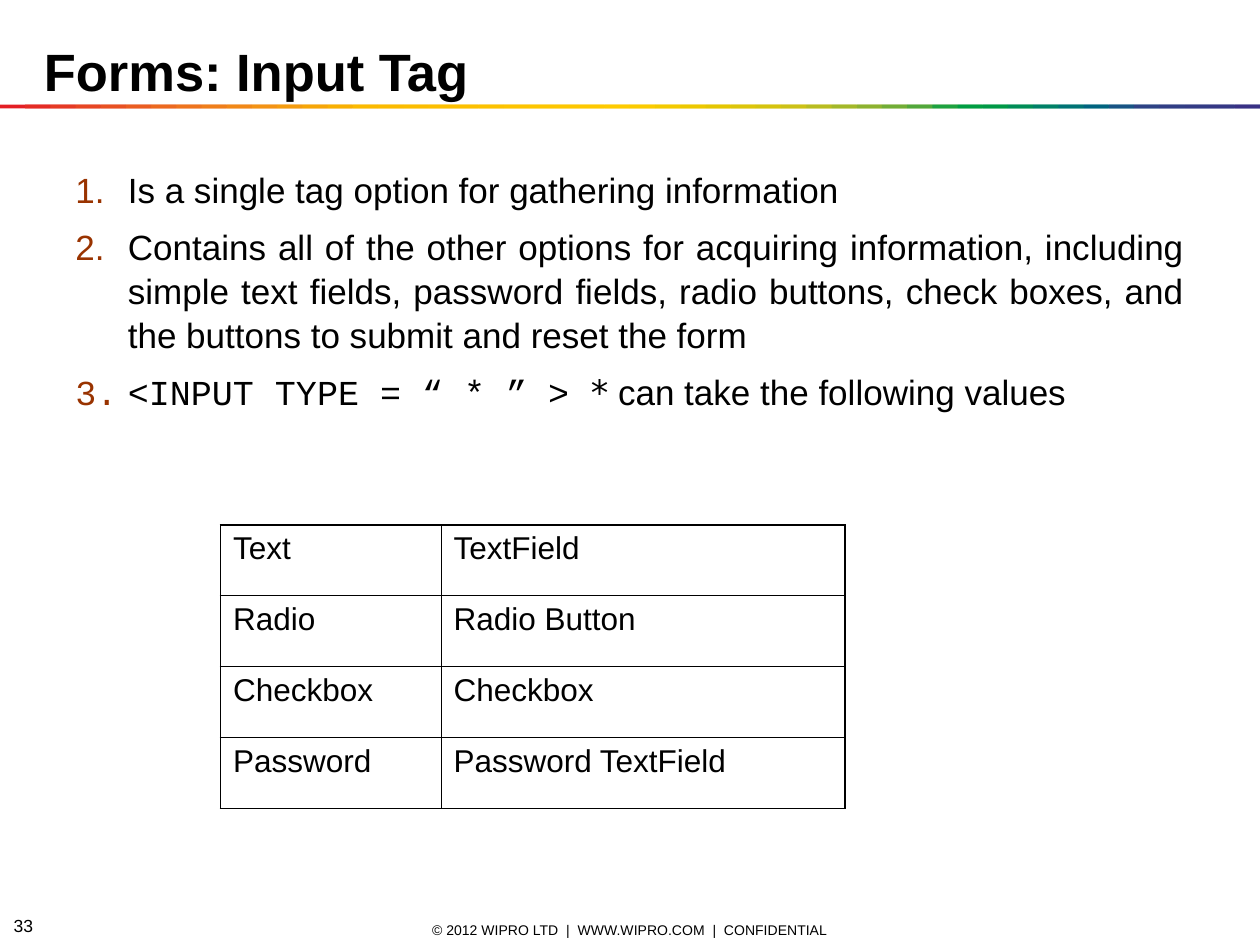
from lxml import etree
from pptx import Presentation
from pptx.dml.color import RGBColor
from pptx.enum.shapes import MSO_SHAPE
from pptx.enum.text import MSO_ANCHOR, PP_ALIGN
from pptx.oxml.ns import qn
from pptx.util import Pt

RECT = MSO_SHAPE.RECTANGLE
MIDDLE, BOTTOM, TOP = MSO_ANCHOR.MIDDLE, MSO_ANCHOR.BOTTOM, MSO_ANCHOR.TOP
LEFT, CENTER, JUSTIFY = PP_ALIGN.LEFT, PP_ALIGN.CENTER, PP_ALIGN.JUSTIFY

COLORS = {"text": "000000", "number": "993300", "border": "000000"}
RAINBOW = """
E31E24 E42C24 E53A24 E74623 E85122 EA5D21 EC691F EE741D EF7E1A F18817
F39314 F49C0F F6A607 F8B002 FBBA00 FBBB00 FBBD00 FCBF00 FCC000 FCC200
FDC400 FDC600 FDC700 FEC900 FECB00 FBCB00 F3CA00 ECC800 E4C602 DCC50A
D5C30E CCC117 B8BC21 A3B829 8CB230 71AD36 51A73B 1DA240 009D43 009846
008C57 008068 007275 00637F 185384 2E4285 313E85 333B85 353885 393185
""".split()

WIDTH, HEIGHT = 720, 540
POINTS = [
    (LEFT, [("Is a single tag option for gathering information", "Arial")]),
    (JUSTIFY, [("Contains all of the other options for acquiring information, "
                "including simple text fields, password fields, radio buttons, "
                "check boxes, and the buttons to submit and reset the form",
                "Arial")]),
    (LEFT, [("<INPUT TYPE = “ * ” > ", "Courier New"),
            ("*", "DejaVu Sans"),
            (" can take the following values", "Arial")]),
]
INPUT_TYPES = [
    ("Text", "TextField"),
    ("Radio", "Radio Button"),
    ("Checkbox", "Checkbox"),
    ("Password", "Password TextField"),
]


def add_run(p, text, size, font="Arial", bold=False):
    r = p.add_run()
    r.text = text
    r.font.size = Pt(size)
    r.font.name = font
    r.font.bold = bold
    r.font.color.rgb = RGBColor.from_string(COLORS["text"])


def add_box(s, x, y, w, h, anchor, top=3.6, bottom=3.6):
    tf = s.shapes.add_textbox(Pt(x), Pt(y), Pt(w), Pt(h)).text_frame
    tf.word_wrap = True
    tf.vertical_anchor = anchor
    tf.margin_top, tf.margin_bottom = Pt(top), Pt(bottom)
    return tf


def add_label(s, x, y, w, h, text, size, align=LEFT, anchor=MIDDLE,
              bold=False, bottom=3.6):
    p = add_box(s, x, y, w, h, anchor, bottom=bottom).paragraphs[0]
    p.alignment = align
    add_run(p, text, size, bold=bold)


def add_rainbow(s, y, h):
    step = WIDTH / len(RAINBOW)
    for i, color in enumerate(RAINBOW):
        x = i * step
        sp = s.shapes.add_shape(RECT, Pt(x), Pt(y),
                                Pt(min(2 * step, WIDTH - x)), Pt(h))
        sp.shadow.inherit = False
        sp.fill.solid()
        sp.fill.fore_color.rgb = RGBColor.from_string(color)
        sp.line.fill.background()


def number_paragraph(p, indent):
    pPr = p._p.get_or_add_pPr()
    pPr.set("marL", str(Pt(indent)))
    pPr.set("indent", str(Pt(-indent)))
    clr = etree.SubElement(pPr, qn("a:buClr"))
    etree.SubElement(clr, qn("a:srgbClr"), val=COLORS["number"])
    etree.SubElement(pPr, qn("a:buAutoNum"), type="arabicPeriod")


def add_numbered_list(s, x, y, w, h, points):
    tf = add_box(s, x, y, w, h, TOP, top=5)
    for i, (align, runs) in enumerate(points):
        p = tf.add_paragraph() if i else tf.paragraphs[0]
        number_paragraph(p, 30)
        p.alignment = align
        p.line_spacing = 1.05
        p.space_before = Pt(7.5 if i else 0)
        for text, font in runs:
            add_run(p, text, 20, font)


def set_border(cell, side, width):
    ln = etree.SubElement(cell._tc.get_or_add_tcPr(), qn("a:ln" + side),
                          w=str(Pt(width)))
    fill = etree.SubElement(ln, qn("a:solidFill"))
    etree.SubElement(fill, qn("a:srgbClr"), val=COLORS["border"])


def add_table(s, x, y, widths, row_h, rows):
    last_row, last_col = len(rows) - 1, len(widths) - 1
    table = s.shapes.add_table(len(rows), len(widths), Pt(x), Pt(y),
                               Pt(sum(widths)), Pt(row_h * len(rows))).table
    table.first_row = table.horz_banding = False
    for col, w in zip(table.columns, widths):
        col.width = Pt(w)
    for i, texts in enumerate(rows):
        table.rows[i].height = Pt(row_h)
        for j, text in enumerate(texts):
            cell = table.cell(i, j)
            outer = {"L": j == 0, "R": j == last_col,
                     "T": i == 0, "B": i == last_row}
            for side, is_outer in outer.items():
                set_border(cell, side, 1.08 if is_outer else 0.45)
            cell.fill.background()
            add_run(cell.text_frame.paragraphs[0], text, 18)


def main():
    prs = Presentation()
    prs.slide_width, prs.slide_height = Pt(WIDTH), Pt(HEIGHT)
    s = prs.slides.add_slide(prs.slide_layouts[6])
    add_label(s, 237.6, 524, 244.8, 14.4,
              "© 2012 WIPRO LTD  |  WWW.WIPRO.COM  |  CONFIDENTIAL", 8, CENTER)
    add_label(s, 0.7, 523.4, 28, 11.5, "33", 10)
    add_rainbow(s, 59.8, 2.2)
    add_label(s, 18, 17.3, 588, 43.2, "Forms: Input Tag", 30,
              anchor=BOTTOM, bold=True, bottom=2.2)
    add_numbered_list(s, 36, 90, 648, 405, POINTS)
    add_table(s, 126, 300, (126, 231), 40.5, INPUT_TYPES)
    prs.save("out.pptx")


if __name__ == "__main__":
    main()
